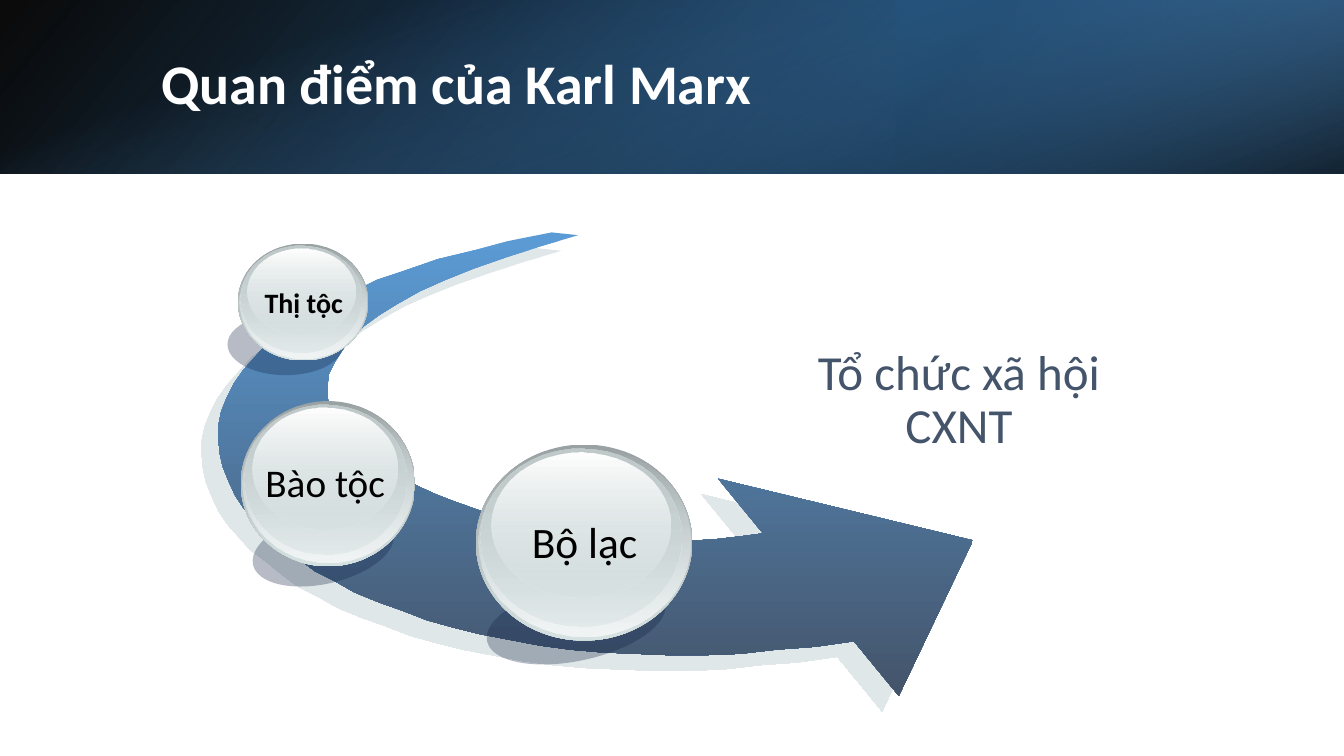
from pptx import Presentation, oxml, util as u
from pptx.dml.color import RGBColor
from pptx.enum import shapes, text
from pptx.oxml.ns import nsdecls

THEME = {
    "font": "Calibri", "title": "FFFFFF", "caption": "44546A", "label": "000000",
    "title_size": 40, "caption_size": 35,
    "arrow": [(0, "5B9BD5", 100), (100, "44546A", 100)],
    "arrow_shadow": "C1D1D3",
    "ball_shadow": [(0, "0F2145", 30)],
}
TITLE = ("Quan điểm của Karl Marx", (108, 27, 790, 69))
CAPTION = ("Tổ chức xã hội CXNT", (564, 245, 242, 89))

# box, rotation, mirrored, gradient stops (position, colour, opacity), angle
BANDS = [
    ((0, 0, 960, 124), 0, True, [(0, "000000", 96), (100, "2E75B6", 100)], 140),
    ((640, 0, 320, 124), 180, True, [(19, "1F4E79", 68), (100, "5B9BD5", 79)], 320),
    ((418, -418, 124, 960), 90, False, [(23, "5B9BD5", 0), (99, "000000", 74)], 340),
]

# label, label box, size, bold, ball box, shadow box, shadow rotation
BALLS = [
    ("Bộ lạc", (369.5, 368.5, 96, 42), 31, False,
     (340, 317.5, 154.5, 140), (346.5, 417, 130, 55), 347.9),
    ("Bào tộc", (181.5, 327.5, 101.5, 37.5), 28, False,
     (172, 286.5, 124.5, 118), (179.5, 367, 103, 50), 347.1),
    ("Thị tộc", (179.5, 203, 75, 30), 20, True,
     (170, 174, 93, 83.5), (162.5, 224, 83, 44), 0),
]

# left, top, width, height as shares of the ball box, then gradient stops
BALL_LAYERS = [
    ((0, 0, 1, 1), [(0, "99A1A2", 100), (100, "D6E1E2", 100)]),
    ((0.01, 0.01, 0.98, 0.97), [(0, "D6E1E2", 0), (100, "F2F5F5", 100)]),
    ((0.02, 0.02, 0.93, 0.91), [(0, "C1CBCC", 100), (100, "D6E1E2", 48)]),
    ((0.07, 0.04, 0.83, 0.74), [(0, "FFFFFF", 100), (100, "D6E1E2", 38)]),
]

OUTER_EDGE = [
    (394, 166), (364, 172), (338, 179), (313, 185), (290, 193), (269, 200), (251, 209),
    (233, 217), (218, 226), (204, 235), (192, 244), (183, 254), (174, 264), (167, 274),
    (162, 284), (158, 294), (156, 304), (156, 314), (157, 324), (159, 333), (163, 343),
    (168, 354), (174, 363), (182, 372), (191, 382), (202, 390), (213, 399), (225, 408),
    (239, 415), (253, 423), (270, 430), (287, 436), (305, 443), (323, 448), (343, 453),
    (364, 457), (385, 461), (407, 464), (430, 466), (454, 467), (478, 468), (503, 468),
    (529, 467), (555, 464), (582, 462), (610, 458),
]
ARROW_HEAD = [(642, 497), (695, 386), (513, 342), (545, 381)]
INNER_EDGE = [
    (530, 383), (513, 385), (498, 386), (464, 386), (448, 384), (431, 383), (415, 381),
    (399, 379), (383, 375), (368, 372), (352, 368), (338, 363), (324, 358), (311, 353),
    (298, 347), (287, 341), (276, 335), (266, 328), (258, 321), (251, 314), (244, 307),
    (240, 299), (236, 292), (234, 284), (234, 275), (235, 267), (239, 259), (244, 251),
    (251, 242), (260, 233), (271, 225), (284, 217), (300, 208), (318, 200), (338, 192),
    (361, 184), (386, 176), (413, 168),
]


def points(box):
    return [u.Pt(value) for value in box]


def colour_xml(colour, opacity):
    return f'<a:srgbClr val="{colour}"><a:alpha val="{opacity * 1000}"/></a:srgbClr>'


def paint(shape, stops, angle=90):
    """Fill with one translucent colour, or with a gradient when there are more stops."""
    shape.shadow.inherit = False
    shape.line.fill.background()
    shape.fill.solid()
    if len(stops) == 1:
        inner, tag = colour_xml(*stops[0][1:]), "solidFill"
    else:
        marks = "".join(f'<a:gs pos="{position * 1000}">{colour_xml(colour, opacity)}</a:gs>'
                        for position, colour, opacity in stops)
        inner = f'<a:gsLst>{marks}</a:gsLst><a:lin ang="{angle * 60000}" scaled="0"/>'
        tag = "gradFill"
    properties = shape._element.spPr
    properties.replace(properties.find("{*}solidFill"),
                       oxml.parse_xml(f'<a:{tag} {nsdecls("a")}>{inner}</a:{tag}>'))


def add_painted(slide, kind, box, stops, angle=90, rotation=0):
    shape = slide.shapes.add_shape(kind, *points(box))
    shape.rotation = rotation
    paint(shape, stops, angle)
    return shape


def write(shape, words, size, colour, bold=False, align=text.PP_ALIGN.CENTER):
    frame = shape.text_frame
    frame.text = words
    paragraph = frame.paragraphs[0]
    paragraph.alignment = align
    paragraph.line_spacing = 0.9
    font = paragraph.font
    font.name, font.size, font.bold = THEME["font"], u.Pt(size), bold
    font.color.rgb = RGBColor.from_string(colour)
    return frame


def add_label(slide, words, box, size, colour, bold=False, wrap=False):
    frame = write(slide.shapes.add_textbox(*points(box)), words, size, colour, bold)
    frame.word_wrap = wrap
    frame.paragraphs[0].space_after = u.Pt(6)


def add_bands(slide):
    for box, rotation, mirrored, stops, angle in BANDS:
        band = add_painted(slide, shapes.MSO_SHAPE.RECTANGLE, box, stops, angle, rotation)
        if mirrored:
            band._element.spPr.xfrm.set("flipH", "1")


def add_title(slide):
    words, box = TITLE
    title = slide.shapes.title
    title.left, title.top, title.width, title.height = points(box)
    frame = write(title, words, THEME["title_size"], THEME["title"], True, text.PP_ALIGN.LEFT)
    frame.vertical_anchor = text.MSO_ANCHOR.MIDDLE
    slide.shapes._spTree.append(title._element)  # in front of the bands


def add_arrow(slide):
    start, *rest = OUTER_EDGE + ARROW_HEAD + INNER_EDGE
    builder = slide.shapes.build_freeform(*start, scale=u.Pt(1))
    builder.add_line_segments(rest, close=True)
    arrow = builder.convert_to_shape()
    paint(arrow, THEME["arrow"])
    arrow._element.spPr.find("{*}effectLst").append(oxml.parse_xml(
        f'<a:outerShdw {nsdecls("a")} dist="{u.Pt(16.3)}" dir="{137 * 60000}" '
        f'algn="ctr" rotWithShape="0">{colour_xml(THEME["arrow_shadow"], 50)}</a:outerShdw>'))


def add_ball(slide, words, label_box, size, bold, ball_box, shadow_box, shadow_rotation):
    oval = shapes.MSO_SHAPE.OVAL
    add_painted(slide, oval, shadow_box, THEME["ball_shadow"], rotation=shadow_rotation)
    left, top, width, height = ball_box
    for (x, y, w, h), stops in BALL_LAYERS:
        box = (left + x * width, top + y * height, w * width, h * height)
        add_painted(slide, oval, box, stops)
    add_label(slide, words, label_box, size, THEME["label"], bold)


def main():
    presentation = Presentation()
    presentation.slide_width, presentation.slide_height = u.Pt(960), u.Pt(540)
    slide = presentation.slides.add_slide(presentation.slide_layouts[5])
    add_bands(slide)
    add_title(slide)
    add_arrow(slide)
    add_label(slide, *CAPTION, THEME["caption_size"], THEME["caption"], wrap=True)
    for ball in BALLS:
        add_ball(slide, *ball)
    presentation.save("out.pptx")


if __name__ == "__main__":
    main()
